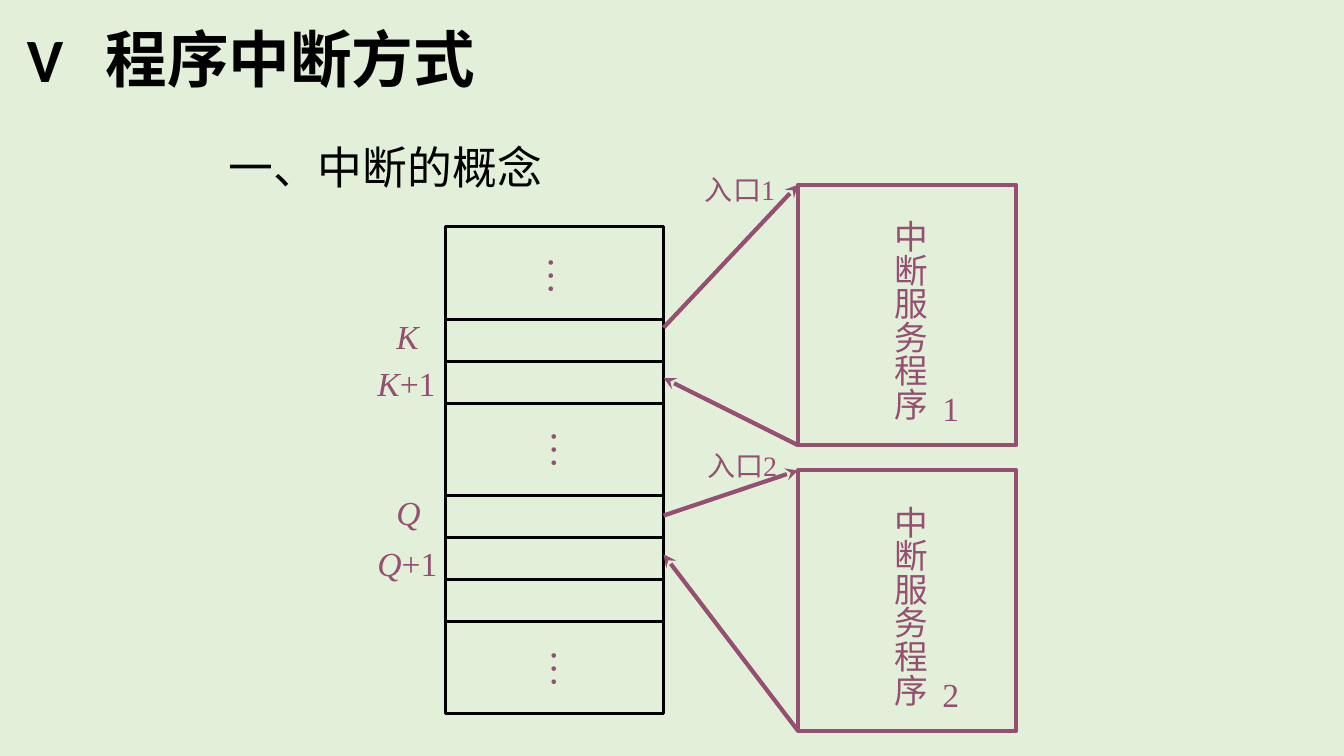
from lxml.etree import SubElement
from pptx import Presentation
from pptx.dml.color import RGBColor
from pptx.enum.shapes import MSO_CONNECTOR as Connector, MSO_SHAPE as Shape
from pptx.enum.text import MSO_ANCHOR as Anchor, MSO_AUTO_SIZE as AutoSize, PP_ALIGN as Align
from pptx.oxml.ns import qn
from pptx.util import Pt

PX = 9525  # EMU per px, 96 px to the inch
BACKGROUND = RGBColor(0xE2, 0xF0, 0xD9)
BLACK = RGBColor(0, 0, 0)
PLUM = RGBColor(0x95, 0x4F, 0x72)
TITLE_FONT = "Calibri"
TEXT_FONT = "Times New Roman"

MEMORY_LEFT, MEMORY_TOP, BLOCK_WIDTH = 424, 216, 208
TALL, LOW = 88, 40
MEMORY_ROWS = [TALL, LOW, LOW, TALL, LOW, LOW, LOW, TALL]
MEMORY_RIGHT = MEMORY_LEFT + BLOCK_WIDTH
ROUTINE_LEFT, ROUTINE_HEIGHT = 760, 248
ROUTINES = [  # number, top, jump from, return to
    ("1", 176, 312, 360),
    ("2", 448, 491, 528),
]
ELLIPSES = [(501, 235), (504, 401), (504, 609)]
ADDRESSES = [  # letter, offset, left, top, width
    ("K", "", 368, 296, 40),
    ("K", "+1", 350, 341, 75),
    ("Q", "", 368, 464, 42),
    ("Q", "+1", 350, 512, 77),
]
ENTRIES = [("入口1", 662, 160, 86), ("入口2", 664, 422, 112)]


class SlideBuilder:
    def __init__(self, presentation):
        self.slide = presentation.slides.add_slide(presentation.slide_layouts[5])
        fill = self.slide.background.fill
        fill.solid()
        fill.fore_color.rgb = BACKGROUND

    def run(self, paragraph, text, size, color, font=TEXT_FONT, bold=False, italic=False):
        run = paragraph.add_run()
        run.text = text
        run.font.name = font
        run.font.size = Pt(size)
        run.font.bold = bold
        run.font.italic = italic
        run.font.color.rgb = color

    def title(self, number, text, left, top, width, height, tab):
        """Fill the title placeholder; the text starts at a tab stop."""
        title = self.slide.shapes.title
        title.left, title.top = left * PX, top * PX
        title.width, title.height = width * PX, height * PX
        frame = title.text_frame
        frame.auto_size = AutoSize.NONE
        frame.vertical_anchor = Anchor.MIDDLE
        paragraph = frame.paragraphs[0]
        paragraph.alignment = Align.LEFT
        paragraph.line_spacing = 0.9
        tabs = SubElement(paragraph._p.get_or_add_pPr(), qn("a:tabLst"))
        SubElement(tabs, qn("a:tab"), pos=str(tab * PX), algn="l")
        self.run(paragraph, f"{number}\t{text}", 44, BLACK, TITLE_FONT, bold=True)

    def text(self, runs, left, top, width, height, size=24, color=PLUM,
             wrap=False, vertical=False):
        """Add a text box; runs holds pairs of text and italic."""
        box = self.slide.shapes.add_textbox(left * PX, top * PX, width * PX, height * PX)
        frame = box.text_frame
        frame.word_wrap = wrap
        frame.auto_size = AutoSize.SHAPE_TO_FIT_TEXT
        if vertical:
            frame._txBody.bodyPr.set("vert", "eaVert")
        for text, italic in runs:
            self.run(frame.paragraphs[0], text, size, color, italic=italic)

    def frame(self, left, top, width, height, color, weight):
        """Add an unfilled rectangle."""
        shape = self.slide.shapes.add_shape(
            Shape.RECTANGLE, left * PX, top * PX, width * PX, height * PX)
        shape.shadow.inherit = False
        shape.fill.background()
        shape.line.color.rgb = color
        shape.line.width = Pt(weight)

    def arrow(self, x1, y1, x2, y2):
        connector = self.slide.shapes.add_connector(
            Connector.STRAIGHT, x1 * PX, y1 * PX, x2 * PX, y2 * PX)
        connector.line.color.rgb = PLUM
        connector.line.width = Pt(3)
        SubElement(connector.line._get_or_add_ln(), qn("a:tailEnd"), type="stealth")
        SubElement(connector._element.spPr, qn("a:effectLst"))


def main():
    presentation = Presentation()
    presentation.slide_width = 1280 * PX
    presentation.slide_height = 720 * PX
    builder = SlideBuilder(presentation)

    builder.title("V", "程序中断方式", 16, 0, 816, 120, tab=75)
    builder.text([("一、中断的概念", False)], 208, 128, 387, 60, 32, BLACK, wrap=True)

    row_top = MEMORY_TOP
    for row_height in MEMORY_ROWS:
        builder.frame(MEMORY_LEFT, row_top, BLOCK_WIDTH, row_height, BLACK, 2.25)
        row_top += row_height
    for left, top in ELLIPSES:
        builder.text([("…", False)], left, top, 64, 47, 28, vertical=True)
    for letter, offset, left, top, width in ADDRESSES:
        runs = [(letter, True)]
        if offset:
            runs.append((offset, False))
        builder.text(runs, left, top, width, 48)

    for number, top, jump_from, return_to in ROUTINES:
        builder.frame(ROUTINE_LEFT, top, BLOCK_WIDTH, ROUTINE_HEIGHT, PLUM, 3)
        builder.text([("中断服务程序", False)], ROUTINE_LEFT + 72, top + 24, 59, 204,
                     vertical=True)
        builder.text([(number, False)], ROUTINE_LEFT + 128, top + 189, 36, 48)
        builder.arrow(MEMORY_RIGHT, jump_from, ROUTINE_LEFT, top)
        builder.arrow(ROUTINE_LEFT, top + ROUTINE_HEIGHT, MEMORY_RIGHT, return_to)
    for entry, left, top, width in ENTRIES:
        builder.text([(entry, False)], left, top, width, 41, 20, wrap=True)

    presentation.save("out.pptx")


if __name__ == "__main__":
    main()
